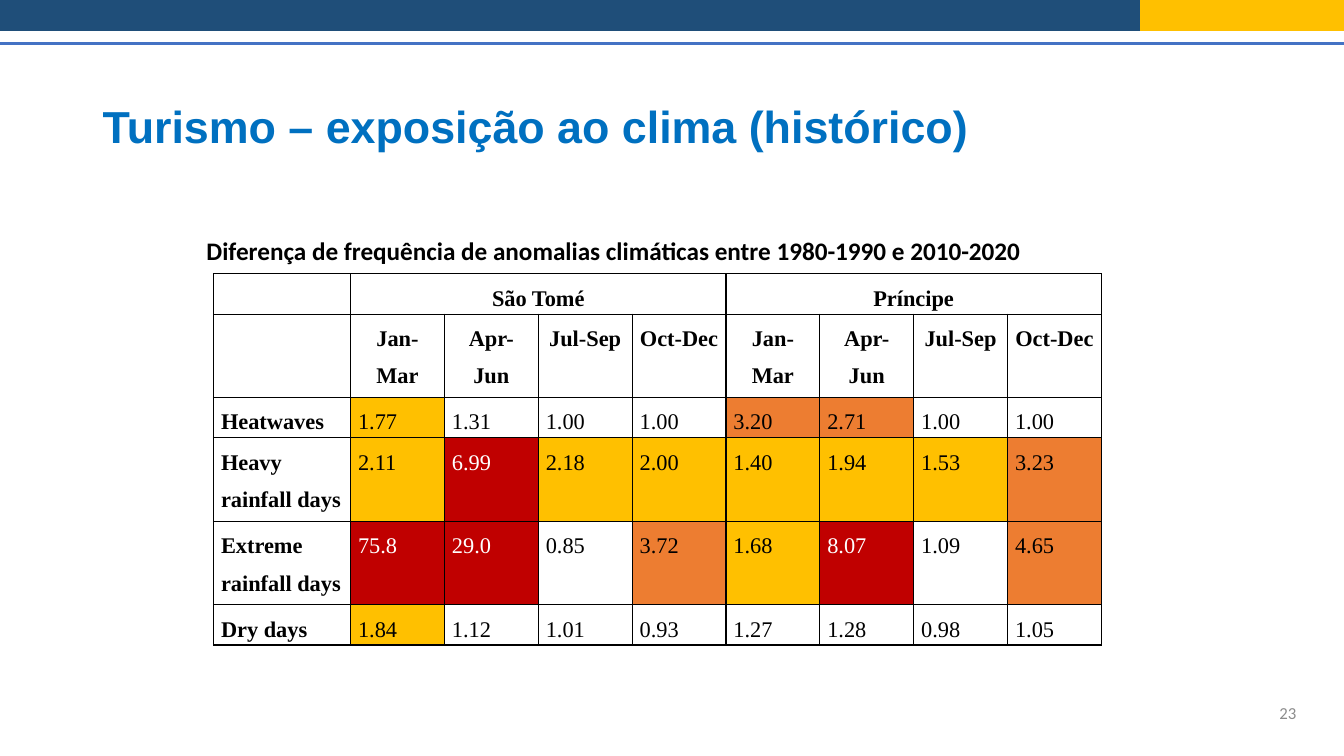
from dataclasses import dataclass
from itertools import product

from lxml.etree import SubElement
from pptx import Presentation
from pptx.dml.color import RGBColor
from pptx.enum.shapes import MSO_CONNECTOR, MSO_SHAPE
from pptx.enum.text import MSO_ANCHOR, MSO_AUTO_SIZE, PP_ALIGN
from pptx.oxml.ns import qn
from pptx.slide import Slide
from pptx.table import _Cell
from pptx.text.text import TextFrame
from pptx.util import Pt

BLACK = RGBColor(0x00, 0x00, 0x00)
WHITE = RGBColor(0xFF, 0xFF, 0xFF)
GRAY = RGBColor(0x8C, 0x8C, 0x8C)
TITLE_BLUE = RGBColor(0x00, 0x70, 0xC0)
NAVY = RGBColor(0x1F, 0x4E, 0x79)
RULE_BLUE = RGBColor(0x44, 0x72, 0xC4)
YELLOW = RGBColor(0xFF, 0xC0, 0x00)
ORANGE = RGBColor(0xED, 0x7D, 0x31)
RED = RGBColor(0xC0, 0x00, 0x00)

SLIDE_WIDTH, SLIDE_HEIGHT = 960, 540
LABEL_WIDTH, QUARTER_WIDTH = 97.9, 67.05
SHORT_ROW, TALL_ROW = 28.3, 59.6
SEVERITY = ((5, RED), (2.5, ORANGE), (1.4, YELLOW))
ISLANDS = ("São Tomé", "Príncipe")
QUARTERS = ("Jan-Mar", "Apr-Jun", "Jul-Sep", "Oct-Dec")


@dataclass(frozen=True)
class Band:
    left: float
    width: float
    color: RGBColor


@dataclass(frozen=True)
class Anomaly:
    label: str
    height: float
    ratios: tuple[str, ...]


@dataclass(frozen=True)
class Style:
    font: str
    size: float
    color: RGBColor
    bold: bool = False
    align: PP_ALIGN = PP_ALIGN.LEFT


BANDS = (Band(-1.4, 815.7, NAVY), Band(814.3, 159.8, YELLOW))
ANOMALIES = (
    Anomaly("Heatwaves", SHORT_ROW,
            ("1.77", "1.31", "1.00", "1.00", "3.20", "2.71", "1.00", "1.00")),
    Anomaly("Heavy rainfall days", TALL_ROW,
            ("2.11", "6.99", "2.18", "2.00", "1.40", "1.94", "1.53", "3.23")),
    Anomaly("Extreme rainfall days", TALL_ROW,
            ("75.8", "29.0", "0.85", "3.72", "1.68", "8.07", "1.09", "4.65")),
    Anomaly("Dry days", SHORT_ROW,
            ("1.84", "1.12", "1.01", "0.93", "1.27", "1.28", "0.98", "1.05")),
)


def write(frame: TextFrame, text: str, style: Style) -> None:
    frame.text = text
    paragraph = frame.paragraphs[0]
    paragraph.alignment = style.align
    for run in paragraph.runs:
        run.font.name = style.font
        run.font.size = Pt(style.size)
        run.font.bold = style.bold
        run.font.color.rgb = style.color


def add_title(slide: Slide) -> None:
    title = slide.shapes.title
    title.left, title.top, title.width, title.height = Pt(66.2), Pt(39.8), Pt(644.4), Pt(104.4)
    frame = title.text_frame
    write(frame, "Turismo – exposição ao clima (histórico)", Style("Arial", 32, TITLE_BLUE, True))
    frame.auto_size = MSO_AUTO_SIZE.NONE
    frame.vertical_anchor = MSO_ANCHOR.MIDDLE
    frame.paragraphs[0].line_spacing = 0.9


def add_text(slide: Slide, text: str, left: float, top: float, width: float,
             style: Style, anchor: MSO_ANCHOR) -> None:
    frame = slide.shapes.add_textbox(Pt(left), Pt(top), Pt(width), Pt(28.8)).text_frame
    frame.word_wrap = True
    frame.vertical_anchor = anchor
    write(frame, text, style)


def add_header(slide: Slide) -> None:
    header = slide.shapes.add_group_shape()
    for band in BANDS:
        bar = header.shapes.add_shape(
            MSO_SHAPE.RECTANGLE, Pt(band.left), Pt(-2.9), Pt(band.width), Pt(25))
        bar.shadow.inherit = False
        bar.fill.solid()
        bar.fill.fore_color.rgb = band.color
        bar.line.fill.background()
    rule = slide.shapes.add_connector(
        MSO_CONNECTOR.STRAIGHT, Pt(-1.4), Pt(31), Pt(SLIDE_WIDTH), Pt(31))
    rule.line.color.rgb = RULE_BLUE
    rule.line.width = Pt(2.25)
    SubElement(rule.element.spPr, qn("a:effectLst"))


def format_cell(cell: _Cell) -> None:
    cell.margin_left = cell.margin_right = Pt(5.4)
    cell.margin_top = cell.margin_bottom = Pt(0)
    properties = cell._tc.get_or_add_tcPr()
    for side in ("a:lnL", "a:lnR", "a:lnT", "a:lnB"):
        border = SubElement(properties, qn(side), w=str(Pt(1)))
        SubElement(SubElement(border, qn("a:solidFill")), qn("a:srgbClr"), val=str(BLACK))
    cell.fill.background()


def write_cell(cell: _Cell, text: str, bold: bool, align: PP_ALIGN,
               color: RGBColor = BLACK) -> None:
    write(cell.text_frame, text, Style("Times New Roman", 16, color, bold, align))
    paragraph = cell.text_frame.paragraphs[0]
    paragraph.line_spacing = 1.5
    paragraph.space_after = Pt(8)


def write_ratio(cell: _Cell, ratio: str) -> None:
    severity = next((color for limit, color in SEVERITY if float(ratio) >= limit), None)
    if severity is not None:
        cell.fill.solid()
        cell.fill.fore_color.rgb = severity
    write_cell(cell, ratio, False, PP_ALIGN.JUSTIFY, WHITE if severity == RED else BLACK)


def add_anomaly_table(slide: Slide) -> None:
    heights = [SHORT_ROW, TALL_ROW, *(anomaly.height for anomaly in ANOMALIES)]
    widths = [LABEL_WIDTH] + [QUARTER_WIDTH] * len(ISLANDS) * len(QUARTERS)
    table = slide.shapes.add_table(
        len(heights), len(widths), Pt(152.5), Pt(195.6),
        Pt(sum(widths)), Pt(sum(heights))).table
    table.first_row = table.horz_banding = False
    for row, height in zip(table.rows, heights):
        row.height = Pt(height)
    for column, width in zip(table.columns, widths):
        column.width = Pt(width)
    for row, column in product(range(len(heights)), range(len(widths))):
        format_cell(table.cell(row, column))

    for index, island in enumerate(ISLANDS):
        first = 1 + index * len(QUARTERS)
        table.cell(0, first).merge(table.cell(0, first + len(QUARTERS) - 1))
        write_cell(table.cell(0, first), island, True, PP_ALIGN.CENTER)
        for column, quarter in enumerate(QUARTERS, first):
            write_cell(table.cell(1, column), quarter, True, PP_ALIGN.CENTER)
    for row, anomaly in enumerate(ANOMALIES, 2):
        write_cell(table.cell(row, 0), anomaly.label, True, PP_ALIGN.JUSTIFY)
        for column, ratio in enumerate(anomaly.ratios, 1):
            write_ratio(table.cell(row, column), ratio)


def main() -> None:
    presentation = Presentation()
    presentation.slide_width, presentation.slide_height = Pt(SLIDE_WIDTH), Pt(SLIDE_HEIGHT)
    slide = presentation.slides.add_slide(presentation.slide_layouts[5])
    add_title(slide)
    add_text(slide, "23", 717.1, 494.6, 216,
             Style("Calibri", 12, GRAY, align=PP_ALIGN.RIGHT), MSO_ANCHOR.MIDDLE)
    add_header(slide)
    add_anomaly_table(slide)
    add_text(slide, "Diferença de frequência de anomalias climáticas entre 1980-1990 e 2010-2020",
             140.4, 164.9, 679, Style("Calibri", 18, BLACK, True), MSO_ANCHOR.TOP)
    presentation.save("out.pptx")


if __name__ == "__main__":
    main()
